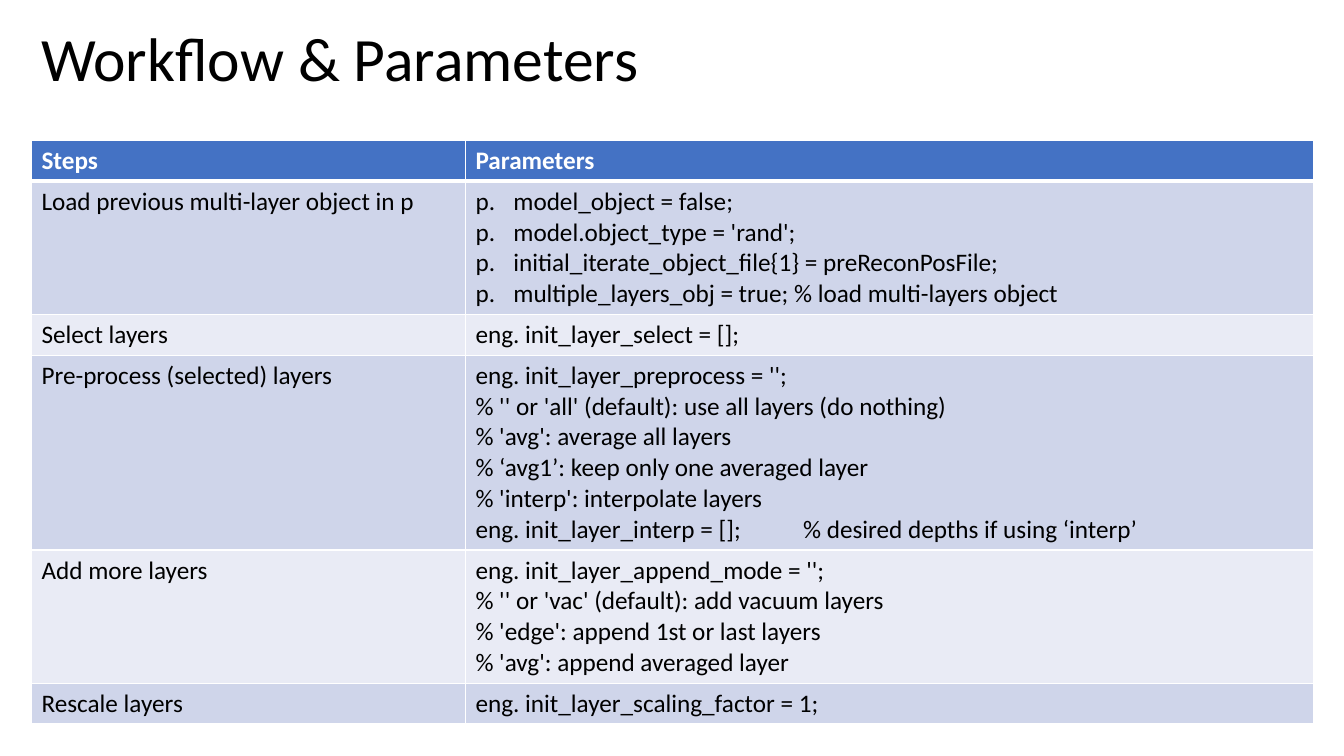
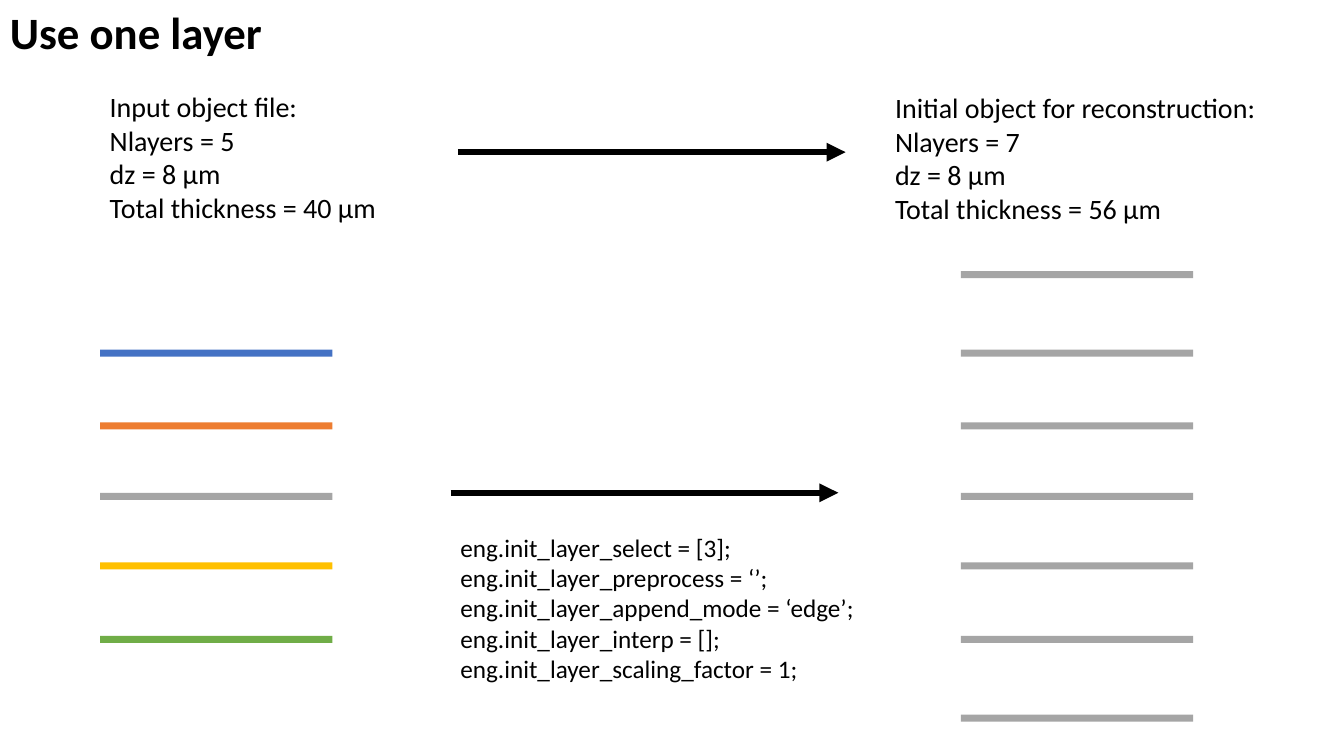
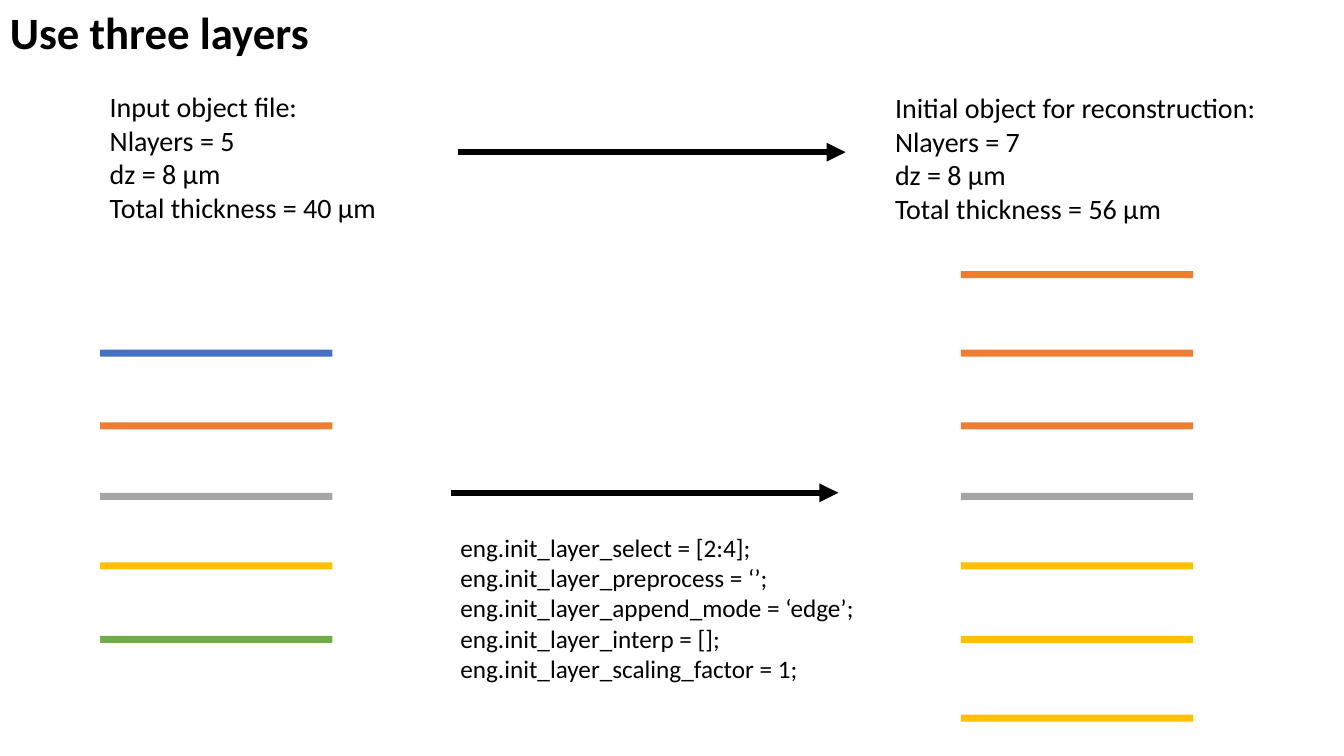
from dataclasses import dataclass

from lxml.etree import SubElement
from pptx import Presentation
from pptx.dml.color import RGBColor
from pptx.enum.shapes import MSO_CONNECTOR as Connector, MSO_SHAPE as Preset
from pptx.enum.text import MSO_ANCHOR as Anchor, MSO_AUTO_SIZE as AutoSize
from pptx.oxml.ns import qn
from pptx.util import Pt


@dataclass(frozen=True)
class Theme:
    font: str = "Calibri"
    black: str = "000000"
    white: str = "FFFFFF"
    blue: str = "4472C4"
    orange: str = "ED7D31"
    gray: str = "A5A5A5"
    yellow: str = "FFC000"
    green: str = "70AD47"
    bands: tuple = ("CFD5EA", "E9EBF5")
    title_size: float = 44
    heading_size: float = 32
    label_size: float = 20
    code_size: float = 18


THEME = Theme()

# Layer diagram geometry, in points
LAYER_TOPS = (193.7, 249.8, 301.7, 352.1, 401.8, 454.3, 510.5)
LAYER_WIDTH, LAYER_HEIGHT = 166, 5
INPUT_LEFT, RESULT_LEFT = 71.5, 686.3
ARROW_LENGTH = 277

# Table geometry, in points
COLUMN_WIDTHS = (310, 606)
LINE_HEIGHT, CELL_PADDING = 21.9, 7.2
HANGING_INDENT, COMMENT_TAB = 27, 234

WORKFLOW = (
    ("Steps", ("Parameters",)),
    ("Load previous multi-layer object in p", (
        "p.\tmodel_object = false;",
        "p.\tmodel.object_type = 'rand';",
        "p.\tinitial_iterate_object_file{1} = preReconPosFile;",
        "p.\tmultiple_layers_obj = true; % load multi-layers object")),
    ("Select layers", ("eng. init_layer_select = [];",)),
    ("Pre-process (selected) layers", (
        "eng. init_layer_preprocess = '';",
        "% '' or 'all' (default): use all layers (do nothing)",
        "% 'avg': average all layers",
        "% ‘avg1’: keep only one averaged layer",
        "% 'interp': interpolate layers",
        "eng. init_layer_interp = [];\t% desired depths if using ‘interp’")),
    ("Add more layers", (
        "eng. init_layer_append_mode = '';",
        "% '' or 'vac' (default): add vacuum layers",
        "% 'edge': append 1st or last layers",
        "% 'avg': append averaged layer")),
    ("Rescale layers", ("eng. init_layer_scaling_factor = 1;",)),
)


def rgb(color):
    return RGBColor.from_string(color)


def set_text(text_frame, lines, size, color=THEME.black, bold=False):
    text_frame.text = "\n".join(lines)
    for paragraph in text_frame.paragraphs:
        for run in paragraph.runs:
            run.font.name = THEME.font
            run.font.size = Pt(size)
            run.font.bold = bold
            run.font.color.rgb = rgb(color)


def add_text(slide, left, top, width, height, lines, size, bold=False):
    shape = slide.shapes.add_textbox(Pt(left), Pt(top), Pt(width), Pt(height))
    set_text(shape.text_frame, lines, size, bold=bold)
    shape.text_frame.word_wrap = False
    shape.text_frame.auto_size = AutoSize.SHAPE_TO_FIT_TEXT
    return shape


def add_title(slide, text):
    shape = add_text(slide, 22.3, 15.8, 828, 56.2, [text], THEME.title_size)
    frame = shape.text_frame
    frame.word_wrap = True
    frame.auto_size = AutoSize.NONE
    frame.vertical_anchor = Anchor.MIDDLE
    frame.paragraphs[0].line_spacing = 0.9


def add_arrow(slide, left, y):
    arrow = slide.shapes.add_connector(
        Connector.STRAIGHT, Pt(left), Pt(y), Pt(left + ARROW_LENGTH), Pt(y))
    arrow.line.color.rgb = rgb(THEME.black)
    arrow.line.width = Pt(4.5)
    SubElement(arrow.line._get_or_add_ln(), qn("a:tailEnd"), type="triangle")
    SubElement(arrow._element.spPr, qn("a:effectLst"))


def add_layers(slide, left, tops, colors):
    group = slide.shapes.add_group_shape()
    for top, color in zip(tops, colors):
        layer = group.shapes.add_shape(
            Preset.RECTANGLE, Pt(left), Pt(top), Pt(LAYER_WIDTH), Pt(LAYER_HEIGHT))
        layer.shadow.inherit = False
        layer.fill.solid()
        layer.fill.fore_color.rgb = rgb(color)
        layer.line.fill.background()


def set_borders(cell, top, bottom):
    properties = cell._tc.get_or_add_tcPr()
    sides = (("L", 1), ("R", 1), ("T", top), ("B", bottom))
    for index, (side, width) in enumerate(sides):
        line = SubElement(properties, qn(f"a:ln{side}"), w=str(Pt(width)))
        fill = SubElement(line, qn("a:solidFill"))
        SubElement(fill, qn("a:srgbClr"), val=THEME.white)
        properties.insert(index, line)  # borders come before the fill


def align_tabs(paragraph):
    properties = paragraph._p.get_or_add_pPr()
    if paragraph.text.startswith("p.\t"):
        properties.set("marL", str(Pt(HANGING_INDENT)))
        properties.set("indent", str(Pt(-HANGING_INDENT)))
    elif "\t" in paragraph.text:
        tabs = SubElement(properties, qn("a:tabLst"))
        SubElement(tabs, qn("a:tab"), pos=str(Pt(COMMENT_TAB)), algn="l")


def add_workflow_table(slide, left, top, rows):
    heights = [CELL_PADDING + LINE_HEIGHT * len(lines) for _, lines in rows]
    table = slide.shapes.add_table(
        len(rows), len(COLUMN_WIDTHS), Pt(left), Pt(top),
        Pt(sum(COLUMN_WIDTHS)), Pt(sum(heights))).table
    for column, width in zip(table.columns, COLUMN_WIDTHS):
        column.width = Pt(width)
    for index, (step, parameters) in enumerate(rows):
        table.rows[index].height = Pt(heights[index])
        header = index == 0
        background = THEME.blue if header else THEME.bands[(index - 1) % 2]
        for column, lines in enumerate(((step,), parameters)):
            cell = table.cell(index, column)
            set_text(cell.text_frame, lines, THEME.code_size,
                     THEME.white if header else THEME.black, header)
            for paragraph in cell.text_frame.paragraphs:
                align_tabs(paragraph)
            cell.fill.solid()
            cell.fill.fore_color.rgb = rgb(background)
            set_borders(cell, top=3 if index == 1 else 1, bottom=3 if header else 1)


def object_lines(heading, layer_count, thickness):
    return (heading, f"Nlayers = {layer_count}", "dz = 8 μm",
            f"Total thickness = {thickness} μm")


def add_layer_slide(slide, heading, heading_width, selection, result_colors):
    # Object descriptions
    add_text(slide, 71.3, 60.5, 206.6, 104.4,
             object_lines("Input object file:", 5, 40), THEME.label_size)
    add_text(slide, 632.2, 61.2, 275, 104.4,
             object_lines("Initial object for reconstruction:", 7, 56),
             THEME.label_size)
    add_arrow(slide, 327, 108.7)

    # Layer stacks
    input_colors = (THEME.blue, THEME.orange, THEME.gray, THEME.yellow, THEME.green)
    add_layers(slide, INPUT_LEFT, LAYER_TOPS[1:-1], input_colors)
    add_layers(slide, RESULT_LEFT, LAYER_TOPS, result_colors)
    add_arrow(slide, 321.8, 352)

    # Heading and settings
    add_text(slide, 0, 0, heading_width, 46, [heading], THEME.heading_size, bold=True)
    settings = (f"eng.init_layer_select = [{selection}];",
                "eng.init_layer_preprocess = ‘’;",
                "eng.init_layer_append_mode = ‘edge’;",
                "eng.init_layer_interp = [];",
                "eng.init_layer_scaling_factor = 1;")
    add_text(slide, 321.8, 376.6, 299.5, 116.6, settings, THEME.code_size)


def main():
    presentation = Presentation()
    presentation.slide_width, presentation.slide_height = Pt(960), Pt(540)
    blank = presentation.slide_layouts[6]

    # Workflow table
    slide = presentation.slides.add_slide(blank)
    add_title(slide, "Workflow & Parameters")
    add_workflow_table(slide, 22.5, 100.3, WORKFLOW)

    # Layer selection examples
    add_layer_slide(presentation.slides.add_slide(blank), "Use one layer", 196.6,
                    "3", [THEME.gray] * 7)
    add_layer_slide(presentation.slides.add_slide(blank), "Use three layers", 237.6,
                    "2:4", [THEME.orange] * 3 + [THEME.gray] + [THEME.yellow] * 3)

    presentation.save("out.pptx")


if __name__ == "__main__":
    main()
